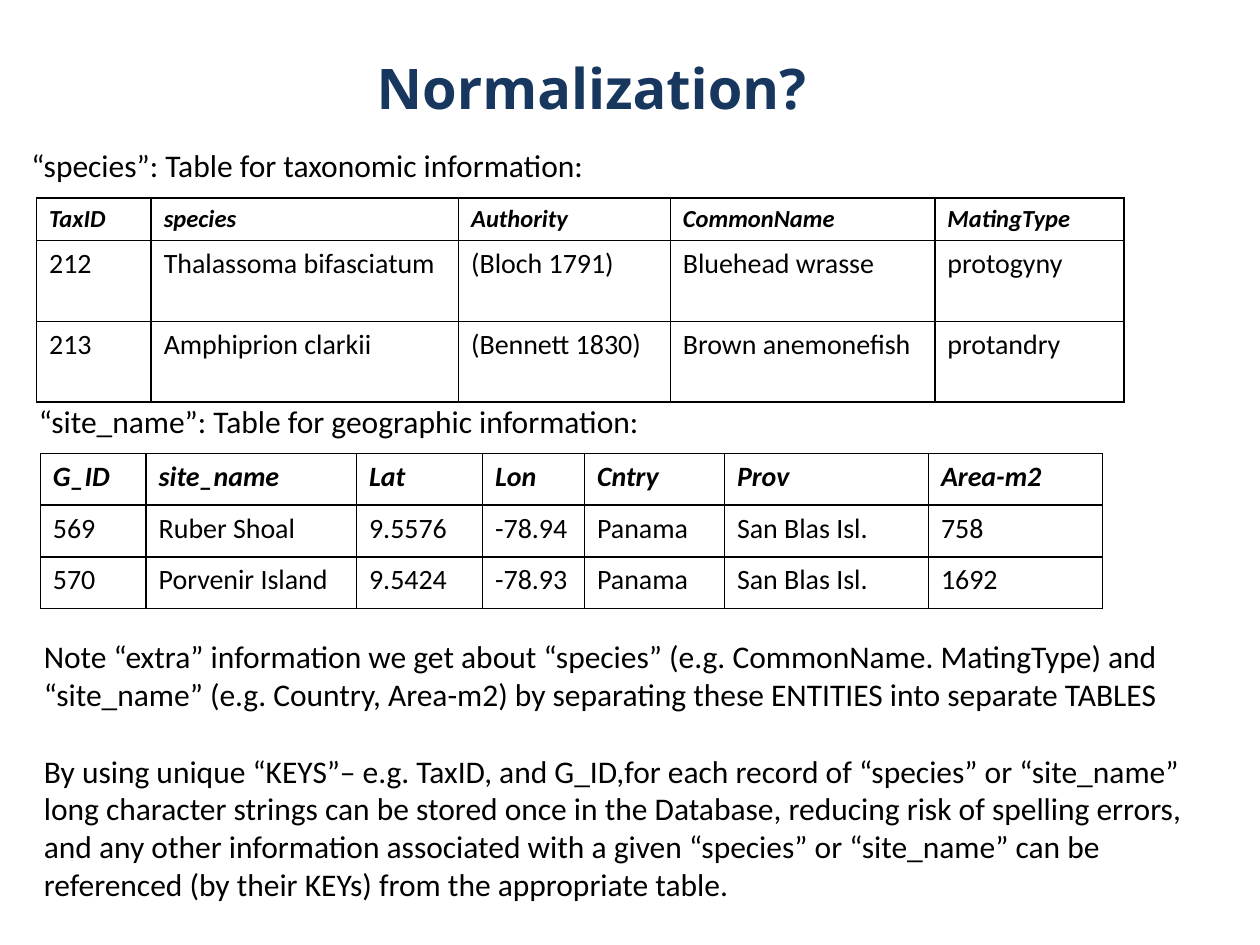
"""Build the Normalization slide with its species and site tables."""
from lxml import etree
from pptx import Presentation
from pptx.dml.color import RGBColor
from pptx.enum.text import MSO_ANCHOR, PP_ALIGN
from pptx.oxml.ns import qn
from pptx.util import Inches, Pt

NAVY = RGBColor(0x17, 0x37, 0x5E)
BLACK = RGBColor(0, 0, 0)
CENTER, LEFT = PP_ALIGN.CENTER, PP_ALIGN.LEFT
MIDDLE, TOP = MSO_ANCHOR.MIDDLE, MSO_ANCHOR.TOP

TITLE = "Normalization?"
CAPTIONS = [
    ("“species”: Table for taxonomic information:", (0.15, 1.11, 4.7, 0.4)),
    ("“site_name”: Table for geographic information:", (0.21, 3.14, 5.08, 0.4)),
]
NOTES = [
    "Note “extra” information we get about “species” (e.g. CommonName. MatingType) "
    "and “site_name” (e.g. Country, Area-m2) by separating these ENTITIES into "
    "separate TABLES",
    "By using unique “KEYS”– e.g. TaxID, and G_ID,for each record of “species” or "
    "“site_name” long character strings can be stored once in the Database, reducing "
    "risk of spelling errors, and any other information associated with a given "
    "“species” or “site_name” can be referenced (by their KEYs) from the "
    "appropriate table.",
]
TABLES = [
    dict(left=0.29, top=1.57, head_size=14,
         cols=[0.91, 2.44, 1.68, 2.1, 1.5], heights=[0.34, 0.64, 0.64],
         rows=[("TaxID", "species", "Authority", "CommonName", "MatingType"),
               ("212", "Thalassoma bifasciatum", "(Bloch 1791)",
                "Bluehead wrasse", "protogyny"),
               ("213", "Amphiprion clarkii", "(Bennett 1830)",
                "Brown anemonefish", "protandry")]),
    dict(left=0.32, top=3.6, head_size=16,
         cols=[0.84, 1.67, 1, 0.81, 1.11, 1.62, 1.38], heights=[0.41] * 3,
         rows=[("G_ID", "site_name", "Lat", "Lon", "Cntry", "Prov", "Area-m2"),
               ("569", "Ruber Shoal", "9.5576", "-78.94", "Panama",
                "San Blas Isl.", "758"),
               ("570", "Porvenir Island", "9.5424", "-78.93", "Panama",
                "San Blas Isl.", "1692")]),
]


def write(tf, *texts, size=18, font="Calibri", color=BLACK, bold=False,
          italic=False, align=LEFT, gap=0):
    for i, text in enumerate(texts):
        p = tf.add_paragraph() if i else tf.paragraphs[0]
        p.alignment = align
        if i:
            p.space_before = Pt(gap)
        r = p.add_run()
        r.text = text
        f = r.font
        f.size, f.name, f.bold, f.italic = Pt(size), font, bold, italic
        f.color.rgb = color


def add_box(slide, box, *texts, wrap=True, anchor=TOP, **fmt):
    tf = slide.shapes.add_textbox(*map(Inches, box)).text_frame
    tf.word_wrap = wrap
    tf.vertical_anchor = anchor
    write(tf, *texts, **fmt)


def set_borders(cell):
    pr = cell._tc.get_or_add_tcPr()
    for side in ("a:lnL", "a:lnR", "a:lnT", "a:lnB"):
        ln = etree.SubElement(pr, qn(side), w=str(Pt(1)))
        fill = etree.SubElement(ln, qn("a:solidFill"))
        etree.SubElement(fill, qn("a:srgbClr"), val=str(BLACK))


def add_grid(slide, left, top, head_size, cols, heights, rows):
    box = map(Inches, (left, top, sum(cols), sum(heights)))
    table = slide.shapes.add_table(len(rows), len(cols), *box).table
    table.first_row = table.horz_banding = False
    for col, width in zip(table.columns, cols):
        col.width = Inches(width)
    for i, (row, height) in enumerate(zip(table.rows, heights)):
        row.height = Inches(height)
        head = i == 0
        for cell, text in zip(row.cells, rows[i]):
            set_borders(cell)
            cell.fill.background()
            write(cell.text_frame, text, size=head_size if head else 16,
                  bold=head, italic=head)


prs = Presentation()
prs.slide_width, prs.slide_height = Inches(10), Inches(7.5)
s = prs.slides.add_slide(prs.slide_layouts[6])
add_box(s, (1.64, 0.3, 6.11, 0.78), TITLE, anchor=MIDDLE, size=32,
        font="Noto Sans", color=NAVY, bold=True, align=CENTER)
for grid in TABLES:
    add_grid(s, **grid)
for caption, box in CAPTIONS:
    add_box(s, box, caption, wrap=False)
add_box(s, (0.25, 5.01, 9.33, 2.22), *NOTES, gap=22)
prs.save("out.pptx")
